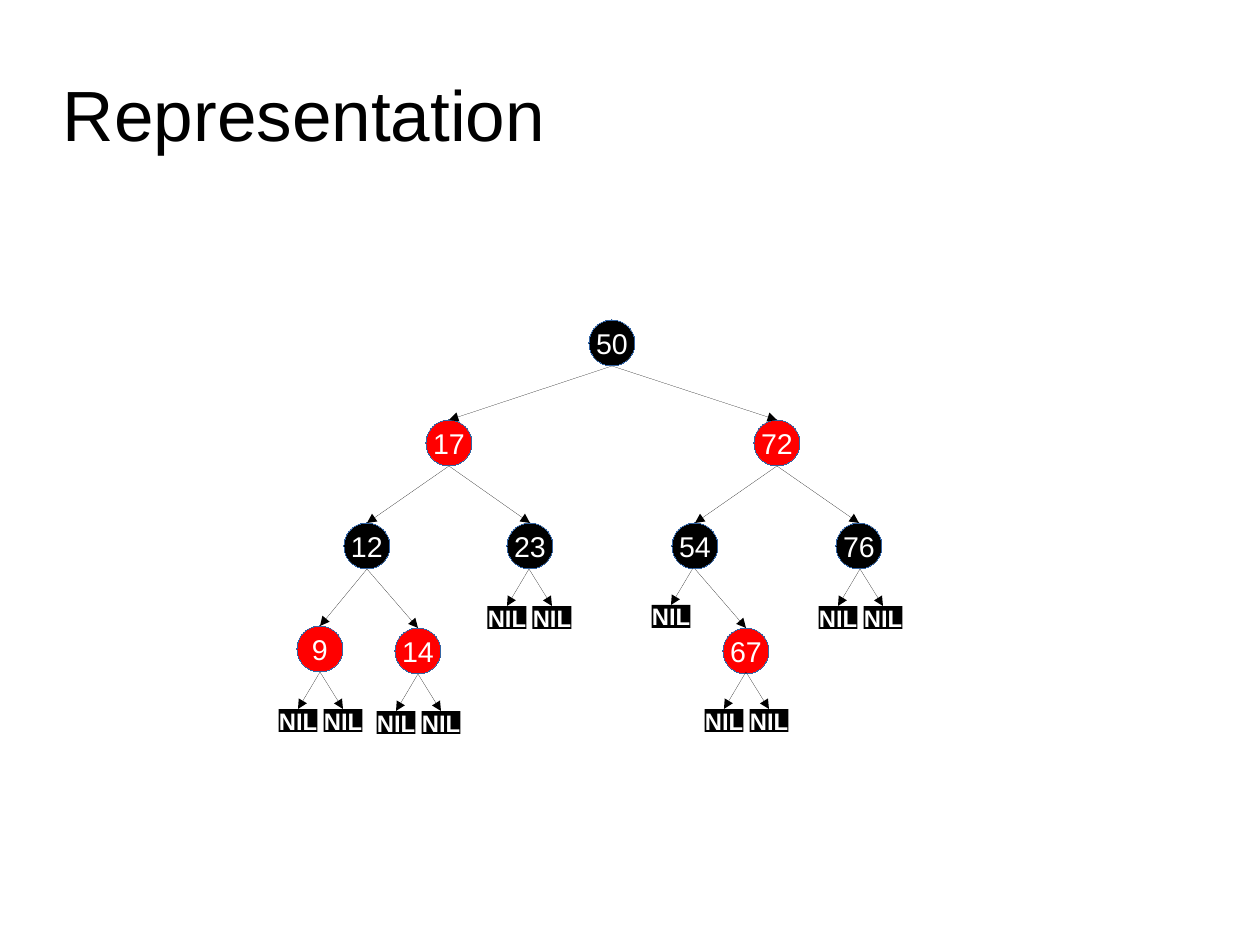
from dataclasses import dataclass

from lxml import etree
from pptx import Presentation
from pptx import util as u
from pptx.dml.color import RGBColor
from pptx.enum import shapes, text
from pptx.oxml import ns

EMU_PER_PX = 8000
SLIDE_WIDTH, SLIDE_HEIGHT = 1260, 945
NODE_SIZE = 46
NIL_WIDTH, NIL_HEIGHT = 39, 23
NIL_DROP = 37
NIL_OFFSETS = {"left": -22, "right": 23}
FONT = "Arial"
COLOURS = {"black": "000000", "red": "FF0000", "outline": "3465A4", "white": "FFFFFF"}


@dataclass(frozen=True)
class Node:
    """A tree node; a missing child becomes a NIL leaf, moved by nil_shift."""
    key: int
    centre: int
    top: int
    colour: str
    left: "Node | None" = None
    right: "Node | None" = None
    nil_shift: tuple[int, int] = (0, 0)


ROOT = Node(
    50, 612, 320, "black",
    left=Node(
        17, 449, 420, "red",
        left=Node(12, 367, 523, "black",
                  left=Node(9, 320, 626, "red"),
                  right=Node(14, 418, 628, "red")),
        right=Node(23, 530, 523, "black", nil_shift=(-1, 0))),
    right=Node(
        72, 777, 420, "red",
        left=Node(54, 695, 523, "black",
                  right=Node(67, 746, 628, "red", nil_shift=(0, -2)),
                  nil_shift=(-2, -1)),
        right=Node(76, 859, 523, "black", nil_shift=(1, 0))))


def px(length: int) -> u.Emu:
    return u.Emu(length * EMU_PER_PX)


def rgb(colour: str) -> RGBColor:
    return RGBColor.from_string(COLOURS[colour])


def write(shape, words: str, colour: str, size: float, bold: bool = False,
          centred: bool = True, margins: tuple[int, int] = (11, 6)) -> None:
    side, edge = margins
    frame = shape.text_frame
    frame_format = {
        "margin_left": px(side), "margin_right": px(side),
        "margin_top": px(edge), "margin_bottom": px(edge),
        "vertical_anchor": text.MSO_ANCHOR.MIDDLE, "word_wrap": not centred,
    }
    for name, value in frame_format.items():
        setattr(frame, name, value)
    paragraph = frame.paragraphs[0]
    paragraph.alignment = text.PP_ALIGN.CENTER if centred else text.PP_ALIGN.LEFT
    run = paragraph.add_run()
    run.text = words
    for name, value in {"name": FONT, "size": u.Pt(size), "bold": bold}.items():
        setattr(run.font, name, value)
    run.font.color.rgb = rgb(colour)


def set_hairline(line, colour: str):
    """Give a line the thinnest width, written out so the style cannot widen it."""
    line.color.rgb = rgb(colour)
    outline = line._get_or_add_ln()
    outline.set("w", "0")
    return outline


def draw_label(slide, kind, centre: int, top: int, width: int, height: int, fill: str):
    """Add a filled, shadowless shape centred on a column."""
    label = slide.shapes.add_shape(
        kind, px(centre) - px(width) // 2, px(top), px(width), px(height))
    label.shadow.inherit = False
    label.fill.solid()
    label.fill.fore_color.rgb = rgb(fill)
    return label


def draw_nil(slide, centre: int, top: int):
    nil = draw_label(slide, shapes.MSO_SHAPE.RECTANGLE, centre, top,
                     NIL_WIDTH, NIL_HEIGHT, "black")
    nil.line.fill.background()
    write(nil, "NIL", "white", 15, bold=True)
    return nil


def draw_arrow(slide, start: tuple[int, int], child) -> None:
    """Add an arrow from a point to the top of a child."""
    x, y = map(px, start)
    arrow = slide.shapes.add_connector(shapes.MSO_CONNECTOR.STRAIGHT, x, y, x, y)
    arrow.end_connect(child, 0)
    outline = set_hairline(arrow.line, "black")
    etree.SubElement(outline, ns.qn("a:tailEnd"), type="triangle")
    etree.SubElement(arrow._element.spPr, ns.qn("a:effectLst"))


def draw_tree(slide, node: Node):
    """Draw a node with everything below it and return its circle."""
    circle = draw_label(slide, shapes.MSO_SHAPE.OVAL, node.centre, node.top,
                        NODE_SIZE, NODE_SIZE, node.colour)
    set_hairline(circle.line, "outline")
    write(circle, str(node.key), "white", 18)

    bottom = node.top + NODE_SIZE
    shift_x, shift_y = node.nil_shift
    nil_start = (node.centre + shift_x, bottom + shift_y)
    for side, offset in NIL_OFFSETS.items():
        child = getattr(node, side)
        if child:
            draw_arrow(slide, (node.centre, bottom), draw_tree(slide, child))
        else:
            nil = draw_nil(slide, nil_start[0] + offset, nil_start[1] + NIL_DROP)
            draw_arrow(slide, nil_start, nil)
    return circle


def main() -> None:
    deck = Presentation()
    deck.slide_width, deck.slide_height = px(SLIDE_WIDTH), px(SLIDE_HEIGHT)
    slide = deck.slides.add_slide(deck.slide_layouts[6])
    title = slide.shapes.add_textbox(px(63), px(36), px(878), px(155))
    write(title, "Representation", "black", 44.8, centred=False, margins=(0, 0))
    draw_tree(slide, ROOT)
    deck.save("out.pptx")


if __name__ == "__main__":
    main()
